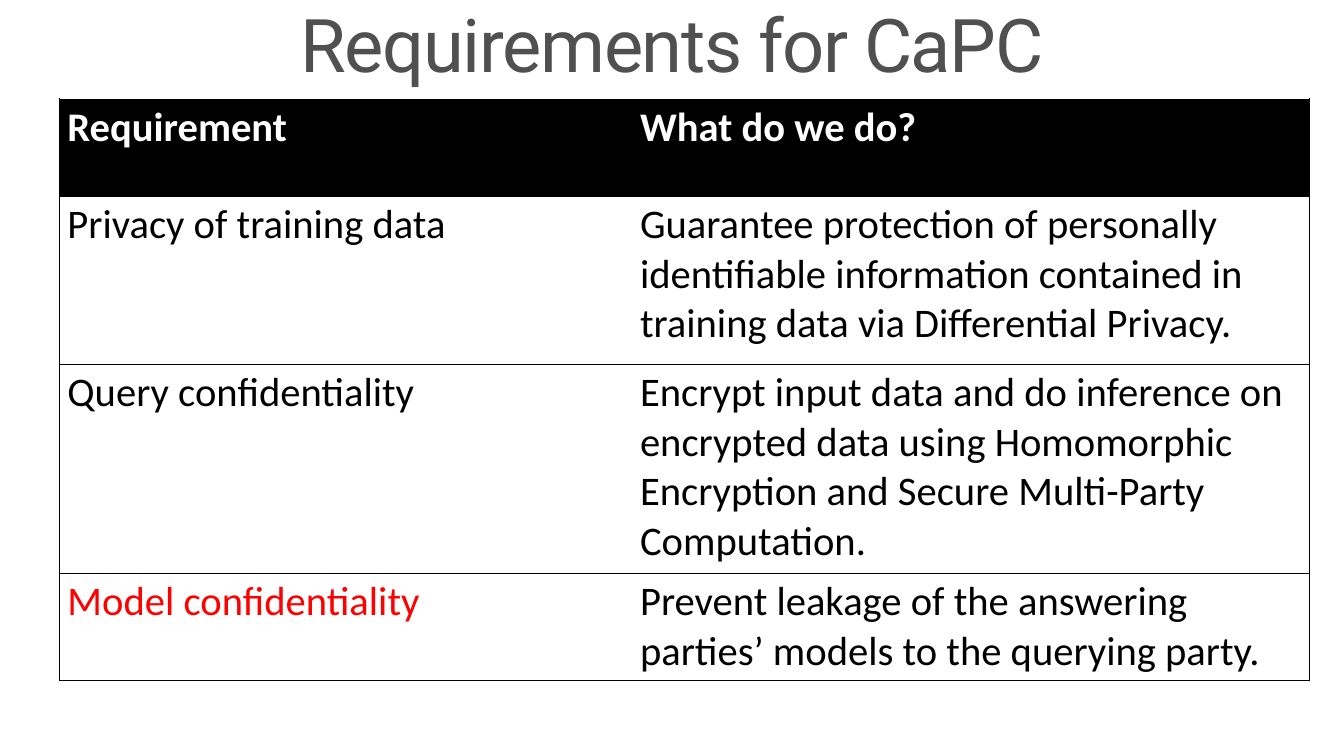
from lxml import etree
from pptx import Presentation
from pptx.dml.color import RGBColor
from pptx.enum.text import MSO_ANCHOR, PP_ALIGN
from pptx.oxml.ns import qn
from pptx.util import Cm, Pt

MIDDLE, TOP = MSO_ANCHOR.MIDDLE, MSO_ANCHOR.TOP
CENTER, LEFT = PP_ALIGN.CENTER, PP_ALIGN.LEFT

# Content
TITLE = "Requirements for CaPC"
ROWS = [
    ("Requirement", "What do we do?"),
    ("Privacy of training data",
     "Guarantee protection of personally identifiable information "
     "contained in training data via Differential Privacy."),
    ("Query confidentiality",
     "Encrypt input data and do inference on encrypted data using "
     "Homomorphic Encryption and Secure Multi-Party Computation."),
    ("Model confidentiality",
     "Prevent leakage of the answering parties’ models to the querying party."),
]
FOCUS = (3, 0)

# Theme
THEME = {
    "title": {"name": "Roboto", "size": Pt(52.9), "bold": False, "color": "505050"},
    "head": {"name": "Calibri", "size": Pt(29), "bold": True, "color": "FFFFFF"},
    "body": {"name": "Calibri", "size": Pt(29), "bold": False, "color": "000000"},
    "focus": {"name": "Calibri", "size": Pt(29), "bold": False, "color": "FF0000"},
    "dark": "000000",
    "light": "FFFFFF",
    "line": Pt(0.5),
}

# Layout
WIDTH, HEIGHT = Cm(33.87), Cm(19.05)
TITLE_BOX = {"left": Cm(0), "top": Cm(0), "width": WIDTH, "height": Cm(2.44)}
LEFT_X, TOP_Y = Cm(1.5), Cm(2.49)
COLS = [Cm(14.43), Cm(17.07)]
TALL = [Cm(2.45), Cm(4.23), Cm(5.27), Cm(2.7)]
PAD = {"margin_left": Cm(0.2), "margin_right": Cm(0.2),
       "margin_top": Cm(0.1), "margin_bottom": Cm(0.1),
       "vertical_anchor": TOP}


def assign(obj, vals):
    for key, val in vals.items():
        setattr(obj, key, val)


def style(font, look):
    for key, val in look.items():
        if key == "color":
            font.color.rgb = RGBColor.from_string(val)
        else:
            setattr(font, key, val)


def border(cell, sides):
    props = cell._tc.get_or_add_tcPr()
    for spot, (side, shown) in enumerate(sides.items()):
        line = etree.Element(qn("a:ln" + side), w=str(THEME["line"]))
        if shown:
            fill = etree.SubElement(line, qn("a:solidFill"))
            etree.SubElement(fill, qn("a:srgbClr"), val=THEME["dark"])
        else:
            etree.SubElement(line, qn("a:noFill"))
        props.insert(spot, line)


def add_title(slide):
    box = slide.shapes.title
    assign(box, TITLE_BOX)
    frame = box.text_frame
    assign(frame, {"text": TITLE, "word_wrap": True, "vertical_anchor": MIDDLE})
    para = frame.paragraphs[0]
    assign(para, {"alignment": CENTER, "line_spacing": 0.9, "space_before": Pt(0)})
    run = para.runs[0]
    style(run.font, THEME["title"])
    run._r.get_or_add_rPr().set("spc", "-100")


def add_grid(slide):
    grid = slide.shapes.add_table(len(ROWS), len(COLS), LEFT_X, TOP_Y,
                                  sum(COLS), sum(TALL)).table
    grid.horz_banding = False
    for col, wide in zip(grid.columns, COLS):
        col.width = wide
    for row, high in zip(grid.rows, TALL):
        row.height = high

    for r, texts in enumerate(ROWS):
        for c, text in enumerate(texts):
            cell = grid.cell(r, c)
            cell.text = text
            assign(cell, PAD)
            look = "head" if r == 0 else "focus" if (r, c) == FOCUS else "body"
            para = cell.text_frame.paragraphs[0]
            para.alignment = LEFT
            style(para.runs[0].font, THEME[look])
            cell.fill.solid()
            tone = THEME["dark" if r == 0 else "light"]
            cell.fill.fore_color.rgb = RGBColor.from_string(tone)
            # Outer frame and row rules, none between columns
            border(cell, {"L": c == 0, "R": c == len(COLS) - 1,
                          "T": True, "B": True})


def main():
    deck = Presentation()
    assign(deck, {"slide_width": WIDTH, "slide_height": HEIGHT})
    slide = deck.slides.add_slide(deck.slide_layouts.get_by_name("Title Only"))
    add_title(slide)
    add_grid(slide)
    deck.save("out.pptx")


if __name__ == "__main__":
    main()
